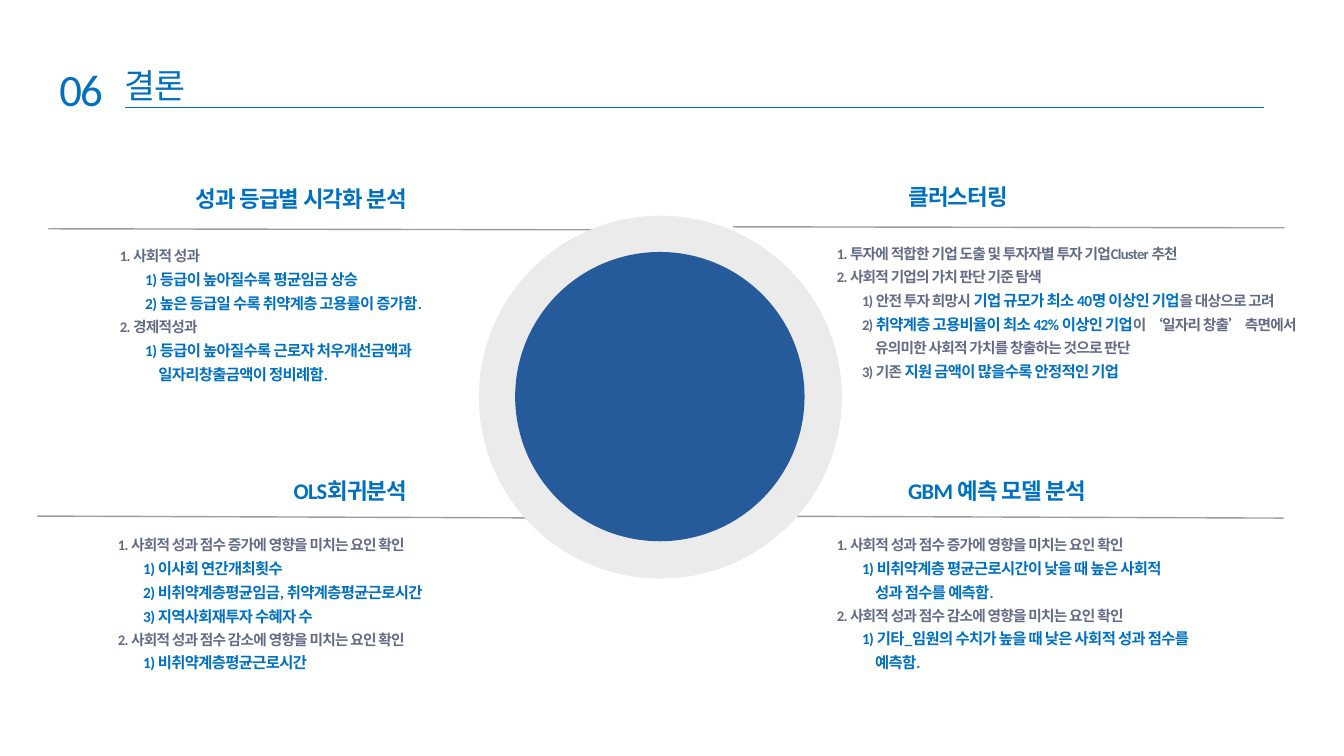
from pptx import Presentation
from pptx.dml.color import RGBColor
from pptx.enum.shapes import MSO_CONNECTOR as CONNECTOR, MSO_SHAPE as SHAPE
from pptx.enum.text import MSO_ANCHOR as ANCHOR, MSO_AUTO_SIZE as AUTO_SIZE, PP_ALIGN as ALIGN
from pptx.oxml import parse_xml
from pptx.oxml.ns import nsdecls
from pptx.util import Inches, Pt

COLORS = {"accent": "0070C0", "body": "646B86", "rule": "9B9DA0",
          "ring": "EBEBEC", "core": "255A9B"}
FORMATS = {
    "number": {"size": Pt(32), "bold": False},
    "title": {"size": Pt(24), "bold": False},
    "heading": {"size": Pt(16), "bold": True},
    "plain": {"size": Pt(10.5), "bold": True},
    "strong": {"size": Pt(11), "bold": True},
}
INDENTS = {"item": 0, "sub": 0.25, "continued": 0.38}

# Text between asterisks is emphasised.
PANELS = [
    {"heading": "성과 등급별 시각화 분석", "heading_at": (1.43, 1.79, 2.71, 0.37),
     "align": ALIGN.RIGHT, "rule": (0.48, 2.27, 5.96, 2.28), "list_at": (1.09, 2.35, 5.26, 1.52),
     "lines": [("item", "1. 사회적 성과"),
               ("sub", "*1) 등급이 높아질수록 평균임금 상승*"),
               ("sub", "*2) 높은 등급일 수록 취약계층 고용률이 증가함.*"),
               ("item", "2. 경제적성과"),
               ("sub", "*1) 등급이 높아질수록 근로자 처우개선금액과*"),
               ("continued", "*일자리창출금액이 정비례함.*")]},
    {"heading": "클러스터링", "heading_at": (8.91, 1.77, 2.16, 0.37),
     "align": ALIGN.LEFT, "rule": (7.27, 2.25, 12.74, 2.26), "list_at": (8.2, 2.33, 5.2, 1.51),
     "lines": [("item", "1. 투자에 적합한 기업 도출 및 투자자별 투자 기업Cluster 추천"),
               ("item", "2. 사회적 기업의 가치 판단 기준 탐색"),
               ("sub", "1) 안전 투자 희망시 *기업 규모가 최소 40명 이상인 기업*을 대상으로 고려"),
               ("sub", "2) *취약계층 고용비율이 최소 42% 이상인 기업*이 ‘일자리 창출’ 측면에서"),
               ("continued", "유의미한 사회적 가치를 창출하는 것으로 판단"),
               ("sub", "3) 기존 *지원 금액이 많을수록 안정적인 기업*")]},
    {"heading": "OLS회귀분석", "heading_at": (1.98, 4.68, 2.16, 0.37),
     "align": ALIGN.RIGHT, "rule": (0.37, 5.12, 5.84, 5.14), "list_at": (1.07, 5.21, 4.34, 1.51),
     "lines": [("item", "1. 사회적 성과 점수 증가에 영향을 미치는 요인 확인"),
               ("sub", "*1) 이사회 연간개최횟수*"),
               ("sub", "*2) 비취약계층평균임금, 취약계층평균근로시간*"),
               ("sub", "*3) 지역사회재투자 수혜자 수*"),
               ("item", "2. 사회적 성과 점수 감소에 영향을 미치는 요인 확인"),
               ("sub", "*1) 비취약계층평균근로시간*")]},
    {"heading": "GBM 예측 모델 분석", "heading_at": (8.91, 4.68, 3.07, 0.37),
     "align": ALIGN.LEFT, "rule": (7.26, 5.12, 12.73, 5.14), "list_at": (8.2, 5.21, 4.09, 1.52),
     "lines": [("item", "1. 사회적 성과 점수 증가에 영향을 미치는 요인 확인"),
               ("sub", "*1) 비취약계층 평균근로시간이 낮을 때 높은 사회적*"),
               ("continued", "*성과 점수를 예측함.*"),
               ("item", "2. 사회적 성과 점수 감소에 영향을 미치는 요인 확인"),
               ("sub", "*1) 기타_임원의 수치가 높을 때 낮은 사회적 성과 점수를*"),
               ("continued", "*예측함.*")]},
]


def add_styled_run(paragraph, text, style, color="accent", tracking=-50):
    """Append a run; tracking is in hundredths of a point."""
    run = paragraph.add_run()
    run.text = text
    run.font.name = "Calibri"
    for attribute, value in FORMATS[style].items():
        setattr(run.font, attribute, value)
    run.font.color.rgb = RGBColor.from_string(COLORS[color])
    run.font._element.set("spc", str(tracking))


def add_rule(ends, color, width):
    rule = slide.shapes.add_connector(CONNECTOR.STRAIGHT, *map(Inches, ends))
    rule.line.color.rgb = RGBColor.from_string(COLORS[color])
    rule.line.width = Pt(width)
    rule._element.spPr.append(parse_xml(f"<a:effectLst {nsdecls('a')}/>"))


prs = Presentation()
prs.slide_width, prs.slide_height = Inches(13.33), Inches(7.5)
slide = prs.slides.add_slide(prs.slide_layouts[4])
title, *lists = slide.placeholders

# Header
number = slide.shapes.add_textbox(0, 0, 0, 0)
for label, text, style, tracking, place in [
        (number, "06", "number", -150, (0.59, 0.56, 0.64, 0.57)),
        (title, "결론", "title", -50, (1.23, 0.6, 0.65, 0.43))]:
    label.left, label.top, label.width, label.height = map(Inches, place)
    frame = label.text_frame
    for attribute, value in {"margin_left": 0, "margin_right": 0, "margin_top": 0,
                             "margin_bottom": 0, "word_wrap": False,
                             "auto_size": AUTO_SIZE.NONE,
                             "vertical_anchor": ANCHOR.TOP}.items():
        setattr(frame, attribute, value)
    frame.paragraphs[0].alignment = ALIGN.LEFT
    frame.paragraphs[0].line_spacing = 1.1
    add_styled_run(frame.paragraphs[0], text, style, tracking=tracking)
add_rule((12.54, 1.07, 1.24, 1.07), "accent", 0.5)

# Four findings
for panel, findings in zip(PANELS, lists):
    add_rule(panel["rule"], "rule", 1)

    heading = slide.shapes.add_textbox(*map(Inches, panel["heading_at"])).text_frame
    heading.word_wrap = True
    heading.paragraphs[0].alignment = panel["align"]
    add_styled_run(heading.paragraphs[0], panel["heading"], "heading")

    findings.left, findings.top, findings.width, findings.height = map(Inches, panel["list_at"])
    frame = findings.text_frame
    frame.word_wrap = True
    frame.auto_size = AUTO_SIZE.NONE
    frame.vertical_anchor = ANCHOR.TOP
    for index, (level, text) in enumerate(panel["lines"]):
        paragraph = frame.add_paragraph() if index else frame.paragraphs[0]
        paragraph.line_spacing = 1.3
        paragraph.space_before = Pt(0)
        properties = paragraph._p.get_or_add_pPr()
        properties.set("marL", str(Inches(INDENTS[level])))
        properties.set("indent", "0")
        properties.append(parse_xml(f"<a:buNone {nsdecls('a')}/>"))
        for part, words in enumerate(text.split("*")):
            if words:
                style, color = ("strong", "accent") if part % 2 else ("plain", "body")
                add_styled_run(paragraph, words, style, color)

# Central disc
for left, top, diameter, color in [(4.75, 2.14, 3.6, "ring"), (5.11, 2.5, 2.87, "core")]:
    disc = slide.shapes.add_shape(SHAPE.OVAL, *map(Inches, (left, top, diameter, diameter)))
    disc.shadow.inherit = False
    disc.fill.solid()
    disc.fill.fore_color.rgb = RGBColor.from_string(COLORS[color])
    disc.line.fill.background()

prs.save("out.pptx")
